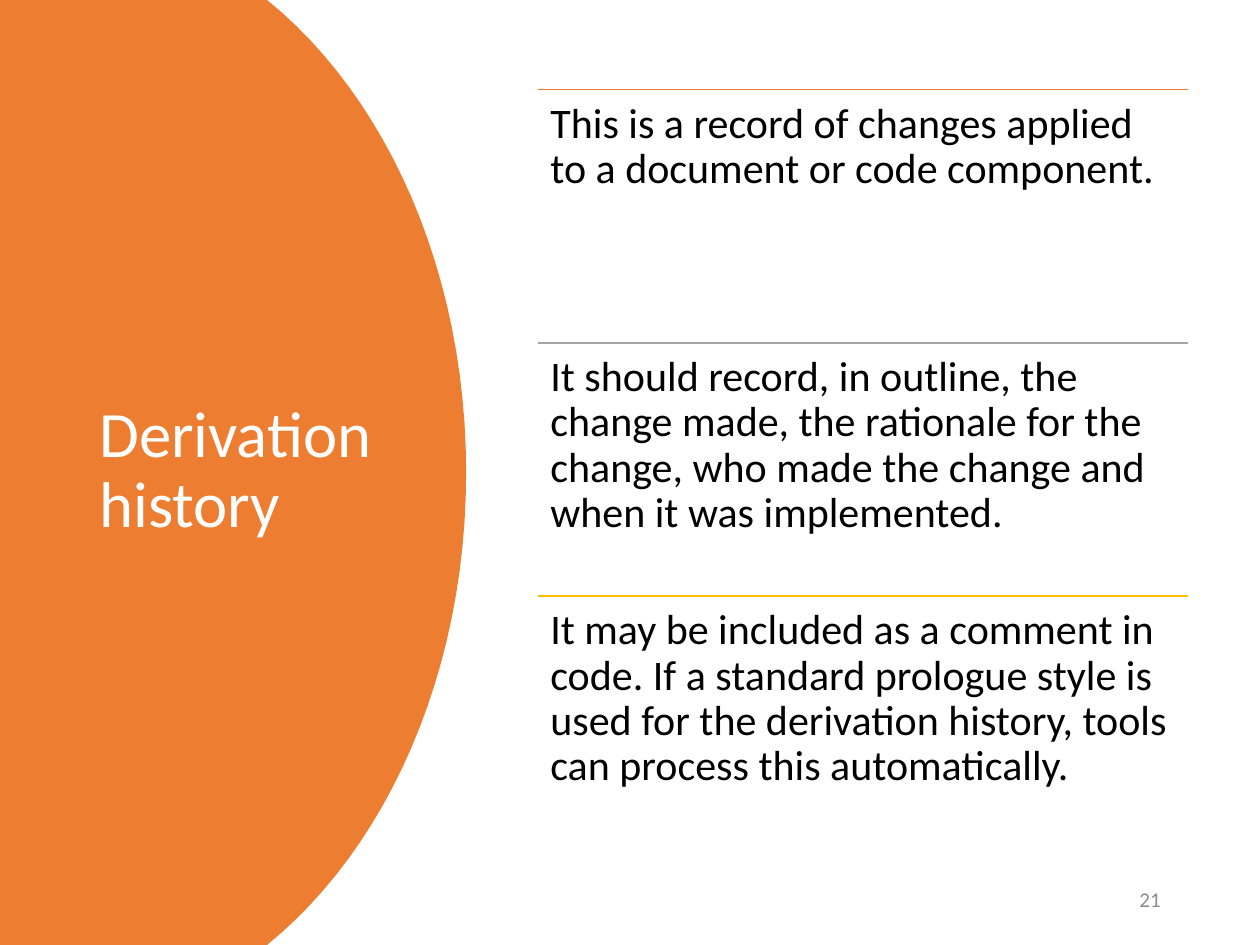
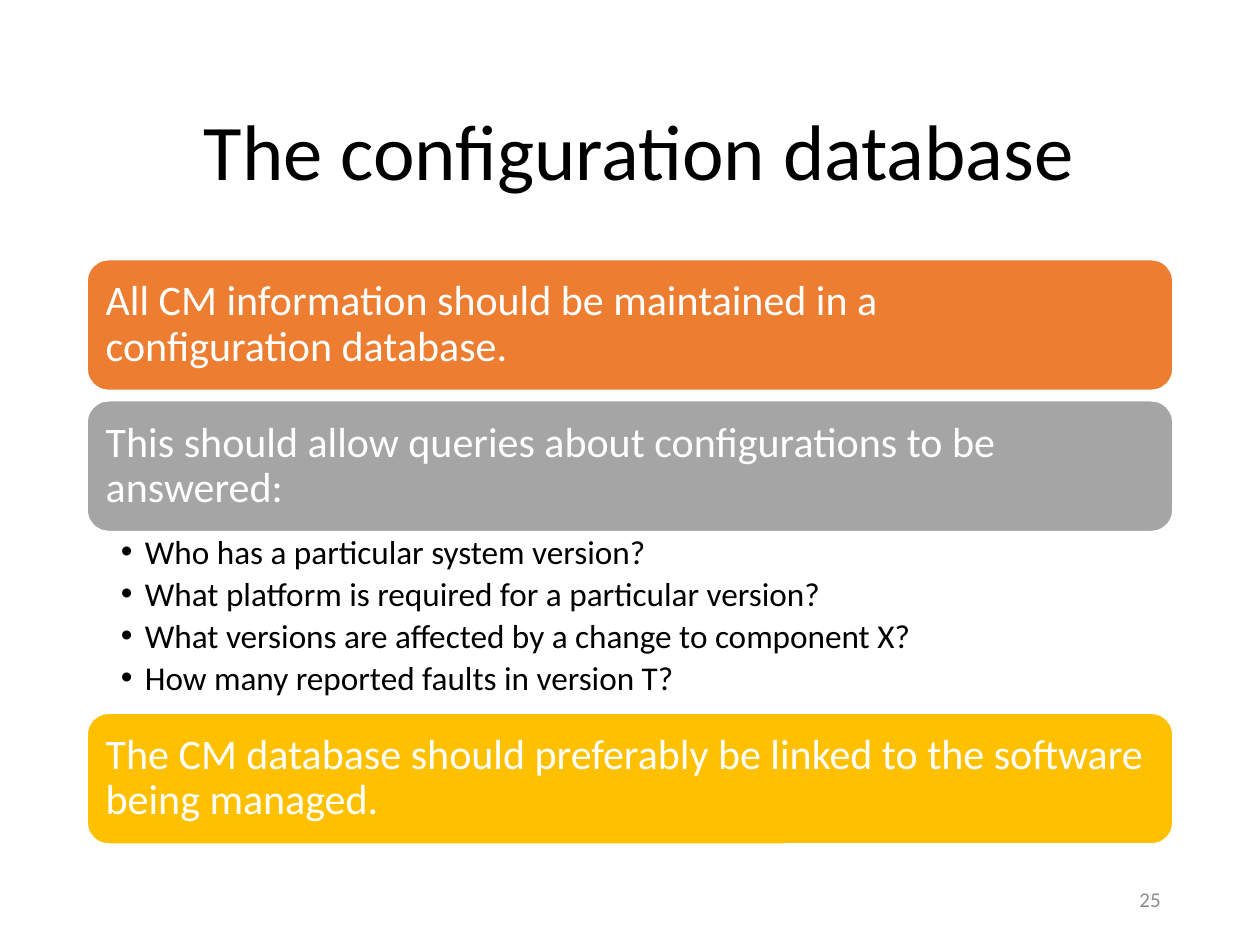
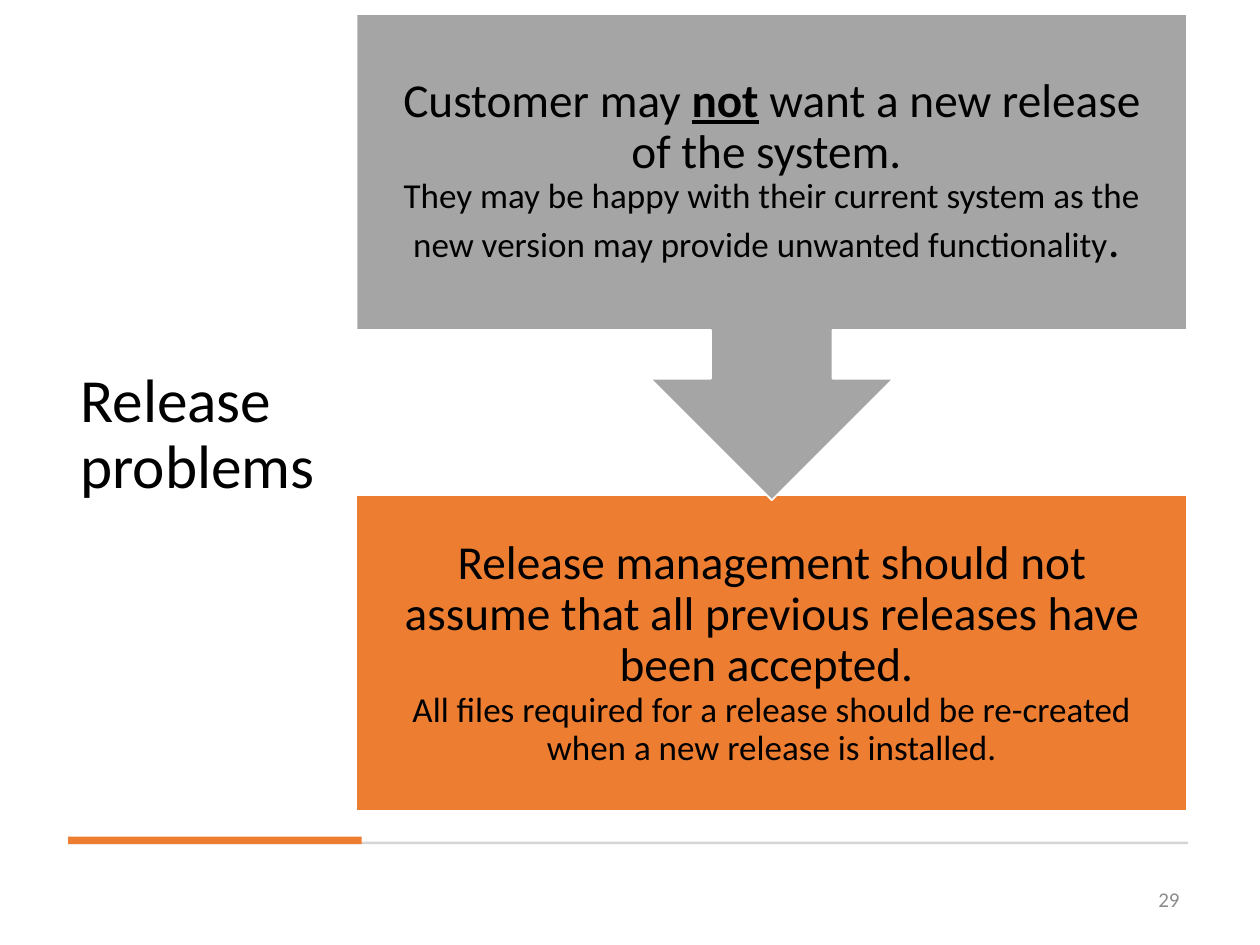
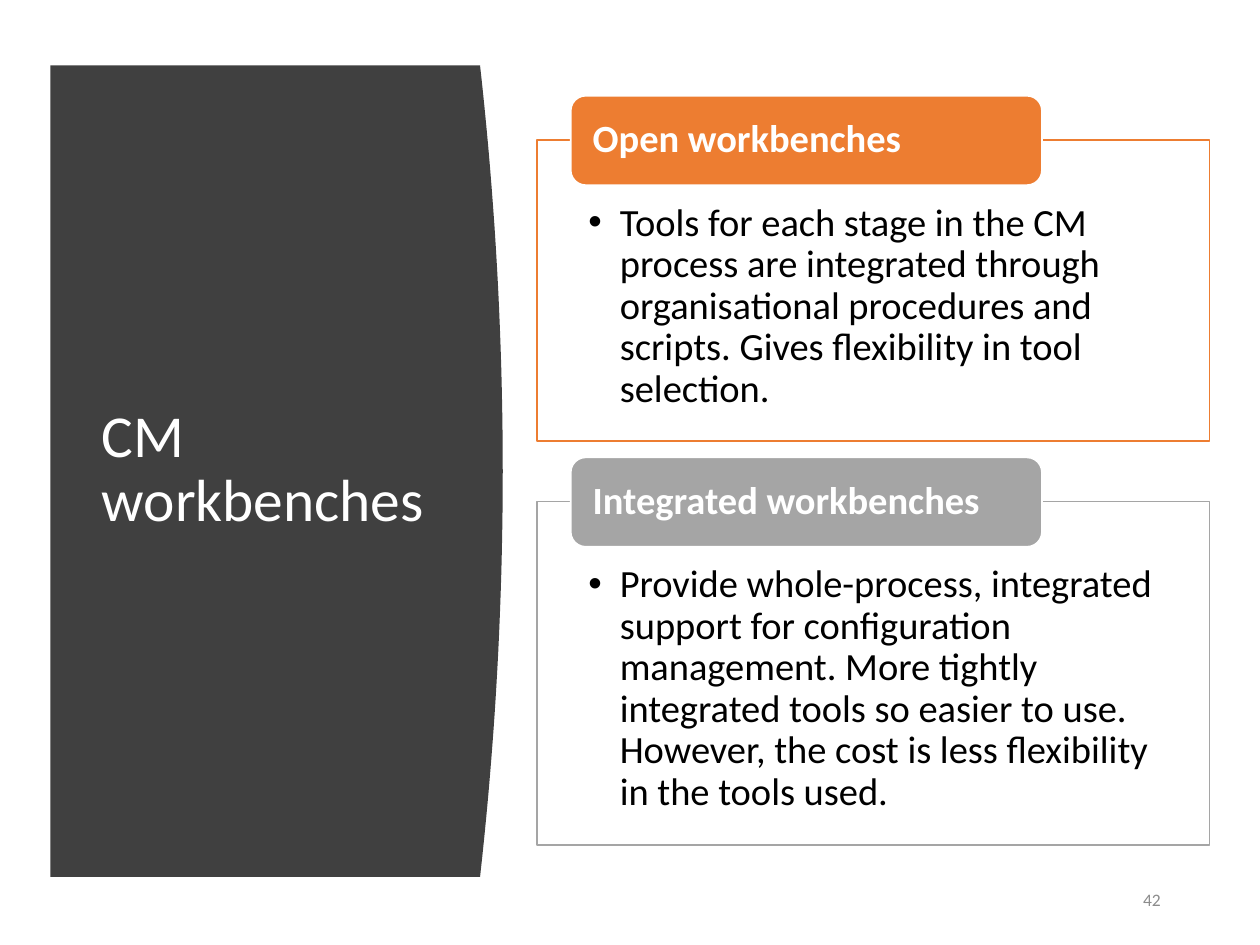
from dataclasses import dataclass

from lxml.etree import SubElement
from pptx import Presentation
from pptx.dml.color import RGBColor
from pptx.enum.shapes import MSO_CONNECTOR, MSO_SHAPE as Shape
from pptx.enum.text import MSO_ANCHOR as Anchor, PP_ALIGN as Align
from pptx.oxml.ns import qn
from pptx.util import Inches, Pt


@dataclass(frozen=True)
class Theme:
    font: str = "Calibri"
    # Colours
    orange: str = "ED7D31"
    grey: str = "A5A5A5"
    gold: str = "FFC000"
    charcoal: str = "404040"
    rule: str = "D5D5D5"
    white: str = "FFFFFF"
    black: str = "000000"
    number: str = "8C8C8C"
    # Type sizes
    title: int = 45
    disc_title: int = 37
    side_title: int = 35
    panel_title: int = 34
    lead: int = 27
    body: int = 24
    bench: int = 22
    detail: int = 20
    query: int = 19
    page: int = 12
    page_small: int = 10
    # Spacing
    line_spacing: float = 0.9
    inset: float = 0.1


THEME = Theme()
DEFAULT_INSETS = (0.1, 0.05, 0.1, 0.05)


class Deck:
    """Holds the style and the slide being filled."""

    def __init__(self, theme):
        self.theme = theme
        self.presentation = Presentation()
        self.presentation.slide_width = Inches(10)
        self.presentation.slide_height = Inches(7.5)
        self.shapes = None

    def new_slide(self):
        blank = self.presentation.slide_layouts[6]
        self.shapes = self.presentation.slides.add_slide(blank).shapes

    def paint(self, shape, fill, line=None):
        shape.shadow.inherit = False
        shape.fill.solid()
        shape.fill.fore_color.rgb = RGBColor.from_string(fill)
        if line:
            shape.line.color.rgb = RGBColor.from_string(line)
            shape.line.width = Pt(1)
        else:
            shape.line.fill.background()

    def block(self, kind, box, fill, line=None):
        shape = self.shapes.add_shape(kind, *map(Inches, box))
        self.paint(shape, fill, line)
        return shape

    def outline(self, points, fill):
        start, *rest = [(Inches(x), Inches(y)) for x, y in points]
        builder = self.shapes.build_freeform(*start)
        builder.add_line_segments(rest, close=True)
        self.paint(builder.convert_to_shape(), fill)

    def rule(self, left, right, top, color):
        line = self.shapes.add_connector(
            MSO_CONNECTOR.STRAIGHT, *map(Inches, (left, top, right, top)))
        line.line.color.rgb = RGBColor.from_string(color)
        line.line.width = Pt(1)
        SubElement(line._element.spPr, qn("a:effectLst"))

    def fill_text(self, shape, paragraphs, size, color, align=Align.LEFT, anchor=Anchor.MIDDLE,
                  insets=DEFAULT_INSETS, bold=None, bullet_indent=None, space=0):
        """Fill a shape; a paragraph is a string or a list of (text, size, stressed)."""
        frame = shape.text_frame
        frame.word_wrap = True
        frame.vertical_anchor = anchor
        (frame.margin_left, frame.margin_top,
         frame.margin_right, frame.margin_bottom) = map(Inches, insets)
        for index, content in enumerate(paragraphs):
            paragraph = frame.add_paragraph() if index else frame.paragraphs[0]
            if bullet_indent:
                self.bullet(paragraph, bullet_indent)
            paragraph.alignment = align
            paragraph.line_spacing = self.theme.line_spacing
            paragraph.space_after = Pt(space)
            paragraph.font.name = self.theme.font
            paragraph.font.size = Pt(size)
            paragraph.font.bold = bold
            paragraph.font.color.rgb = RGBColor.from_string(color)
            if isinstance(content, str):
                paragraph.text = content
            else:
                self.mixed_runs(paragraph, content)

    def mixed_runs(self, paragraph, parts):
        for text, size, stressed in parts:
            run = paragraph.add_run()
            run.text = text.rstrip("\v")
            run.font.size = Pt(size)
            run.font.bold = run.font.underline = stressed
            if text.endswith("\v"):
                paragraph.add_line_break()

    def bullet(self, paragraph, indent):
        properties = paragraph._p.get_or_add_pPr()
        properties.set("marL", str(Inches(indent)))
        properties.set("indent", str(-Inches(indent)))
        SubElement(properties, qn("a:buFont"), typeface="Arial")
        SubElement(properties, qn("a:buChar"), char="•")

    def text(self, box, paragraphs, size, color=THEME.black, **style):
        holder = self.shapes.add_textbox(*map(Inches, box))
        self.fill_text(holder, paragraphs, size, color, **style)

    def card(self, box, label, size, fill, insets, bold=None):
        card = self.block(Shape.ROUNDED_RECTANGLE, box, fill, self.theme.white)
        self.fill_text(card, [label], size, self.theme.white, insets=insets, bold=bold)

    def page_number(self, number, right=9.31, size=THEME.page):
        width = 2.25
        self.text((right - width, 6.95, width, 0.4), [number], size,
                  self.theme.number, align=Align.RIGHT)


def bezier(start, control_1, control_2, end, steps=24):
    """Points along a cubic curve."""
    for step in range(steps + 1):
        t = step / steps
        u = 1 - t
        weights = (u ** 3, 3 * u * u * t, 3 * u * t * t, t ** 3)
        knots = (start, control_1, control_2, end)
        yield tuple(sum(w * k[axis] for w, k in zip(weights, knots)) for axis in (0, 1))


def derivation_history(deck):
    theme = deck.theme
    deck.new_slide()
    # Round title panel: the lower half mirrors the upper one
    upper = list(bezier((2.12, 0), (3.07, 0.77), (3.7, 2.16), (3.7, 3.75)))
    lower = [(x, 7.5 - y) for x, y in reversed(upper[:-1])]
    deck.outline([(0, 0), *upper, *lower, (0, 7.5)], theme.orange)
    deck.text((0.69, 0.7, 2.42, 6.09), ["Derivation history"], theme.disc_title, theme.white)
    deck.page_number("21")
    # Ruled statements
    statements = [
        (theme.orange, "This is a record of changes applied to a document or code component."),
        (theme.grey, "It should record, in outline, the change made, the rationale for the "
                     "change, who made the change and when it was implemented."),
        (theme.gold, "It may be included as a comment in code. If a standard prologue style is "
                     "used for the derivation history, tools can process this automatically."),
    ]
    left, width, first_top, pitch = 4.27, 5.16, 0.71, 2.01
    for row, (color, statement) in enumerate(statements):
        top = first_top + row * pitch
        deck.rule(left, left + width, top, color)
        deck.text((left, top, width, pitch), [statement], theme.body,
                  anchor=Anchor.TOP, insets=(theme.inset,) * 4)


def configuration_database(deck):
    theme = deck.theme
    deck.new_slide()
    deck.text((0.76, 0.61, 8.62, 1.24), ["The configuration database"], theme.title,
              align=Align.CENTER)
    deck.page_number("25")
    # Statement cards
    left, width, height = 0.69, 8.62, 1.04
    cards = [
        (2.06, theme.orange,
         "All CM information should be maintained in a \vconfiguration database."),
        (3.18, theme.grey,
         "This should allow queries about configurations to be \vanswered:"),
        (5.66, theme.gold,
         "The CM database should preferably be linked to the software being managed."),
    ]
    for top, fill, statement in cards:
        deck.card((left, top, width, height), statement, theme.body, fill, (theme.inset,) * 4)
    # Queries under the second card
    queries = [
        "Who has a particular system version?",
        "What platform is required for a particular version?",
        "What versions are affected by a change to component X?",
        "How many reported faults in version T?",
    ]
    deck.text((left, 4.22, width, 1.44), queries, theme.query, anchor=Anchor.TOP,
              insets=(0.27, 0.03, 0.19, 0.03), bullet_indent=0.19, space=3.5)


def release_problems(deck):
    theme = deck.theme
    deck.new_slide()
    deck.text((0.54, 0.47, 2.33, 5.97), ["Release problems"], theme.side_title)
    # Footer rule with its accent
    deck.block(Shape.RECTANGLE, (0.54, 6.68, 8.89, 0.02), theme.rule)
    deck.block(Shape.RECTANGLE, (0.54, 6.64, 2.33, 0.06), theme.orange)
    deck.page_number("29", right=9.46)
    # Conclusion box, then the callout that points at it
    left, width, height = 2.83, 6.59, 2.51
    centred = dict(align=Align.CENTER, insets=(0.21,) * 4)
    conclusion = deck.block(Shape.RECTANGLE, (left, 3.93, width, height),
                            theme.orange, theme.white)
    deck.fill_text(conclusion, [[
        ("Release management should not assume that all previous releases have "
         "been accepted. \v", theme.lead, False),
        ("All files required for a release should be re-created when a new release "
         "is installed.", theme.detail, False),
    ]], theme.lead, theme.black, **centred)
    callout = deck.block(Shape.UP_ARROW_CALLOUT, (left, 0.11, width, 3.86),
                         theme.grey, theme.white)
    callout.rotation = 180
    deck.text((left, 0.11, width, height), [[
        ("Customer may ", theme.lead, False),
        ("not", theme.lead, True),
        (" want a new release of the system. \v", theme.lead, False),
        ("They may be happy with their current system as the new version may provide "
         "unwanted functionality", theme.detail, False),
        (". ", theme.lead, False),
    ]], theme.lead, **centred)


def cm_workbenches(deck):
    theme = deck.theme
    deck.new_slide()
    # Title panel with a bulging right edge
    left, edge, top, height, bulge, steps = 0.4, 3.81, 0.52, 6.44, 0.18, 40
    fractions = [step / steps for step in range(steps + 1)]
    curve = [(edge + 4 * bulge * t * (1 - t), top + height * t) for t in fractions]
    deck.outline([(left, top), *curve, (left, top + height)], theme.charcoal)
    deck.text((0.71, 1.11, 2.8, 5.24), ["CM workbenches"], theme.panel_title, theme.white)
    deck.page_number("42", size=theme.page_small)
    # Framed descriptions, each with a label over its top edge
    workbenches = [
        (1.11, 2.39, theme.orange, "Open workbenches",
         "Tools for each stage in the CM process are integrated through organisational "
         "procedures and scripts. Gives flexibility in tool selection."),
        (3.98, 2.73, theme.grey, "Integrated workbenches",
         "Provide whole-process, integrated support for configuration management. More "
         "tightly integrated tools so easier to use. However, the cost is less flexibility "
         "in the tools used."),
    ]
    for frame_top, frame_height, color, label, description in workbenches:
        frame = deck.block(Shape.RECTANGLE, (4.26, frame_top, 5.34, frame_height),
                           theme.white, color)
        deck.fill_text(frame, [description], theme.bench, theme.black, anchor=Anchor.TOP,
                       insets=(0.41, 0.5, 0.41, 0.17), bullet_indent=0.25)
        deck.card((4.53, frame_top - 0.35, 3.74, 0.71), label, theme.bench, color,
                  (0.14, 0, 0.14, 0), bold=True)


def main():
    deck = Deck(THEME)
    derivation_history(deck)
    configuration_database(deck)
    release_problems(deck)
    cm_workbenches(deck)
    deck.presentation.save("out.pptx")


if __name__ == "__main__":
    main()
